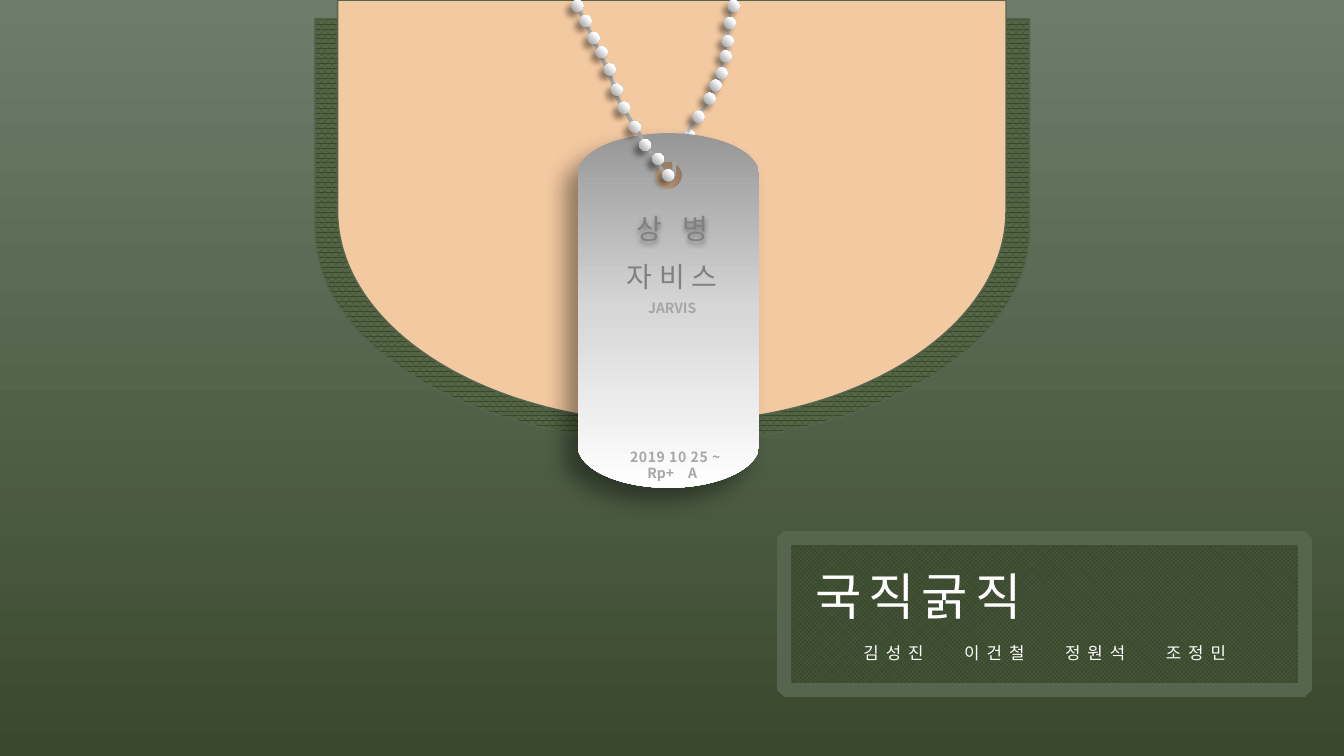
from typing import NamedTuple

from lxml import etree
from pptx import Presentation
from pptx.dml.color import RGBColor
from pptx.enum.dml import MSO_PATTERN
from pptx.enum.shapes import MSO_SHAPE
from pptx.enum.text import MSO_ANCHOR, MSO_AUTO_SIZE, PP_ALIGN
from pptx.oxml.ns import qn
from pptx.util import Pt

OVAL, DELAY, RECT = MSO_SHAPE.OVAL, MSO_SHAPE.FLOWCHART_DELAY, MSO_SHAPE.RECTANGLE
CENTER, JUSTIFY = PP_ALIGN.CENTER, PP_ALIGN.JUSTIFY
PCT_70, TRELLIS = MSO_PATTERN.PERCENT_70, MSO_PATTERN.TRELLIS
MIDDLE, FIT = MSO_ANCHOR.MIDDLE, MSO_AUTO_SIZE.SHAPE_TO_FIT_TEXT
FONT = "Noto Sans CJK KR"
COLORS = {
    "sage": "6C7D6A", "forest": "3A492D", "moss": "546646", "border": "55654E",
    "skin": "F3C9A1", "steel": "979797", "silver": "D7D7D7", "white": "FFFFFF",
    "black": "000000", "chain_front": "A6A6A6", "chain_back": "BFBFBF",
    "engraving": "808080", "small_print": "A6A6A6",
}
BEAD_SIZE = 8.5

Point = tuple[float, float]
Segment = list[Point]
Stops = list[tuple[int, str]]


class Shadow(NamedTuple):
    blur: float
    distance: float
    angle: int = 135
    opacity: int = 40


class Contour(NamedTuple):
    """A start point, then segments: one point is a line, three are a curve."""
    start: Point
    segments: list[Segment]


class Chain(NamedTuple):
    color: str
    width: float
    curve: list[Point]
    beads: list[Point]


class Engraving(NamedTuple):
    text: str
    left: float
    top: float
    height: float
    size: float
    color: str
    bold: bool = False
    spacing: float = 0
    shadow: Shadow | None = None


BEAD_STOPS: Stops = [(3, "steel"), (75, "white")]
BEAD_SHADOW = Shadow(4, 5)
REAR_BEAD = (488.2, 92.9)
CHAINS = [
    Chain("chain_front", 2.75,
          [(413.3, 6.5), (421.9, 23.8), (430.6, 41.8), (434.9, 52.6),
           (439.9, 62.6), (436.3, 60.5), (440.6, 69.1),
           (445, 77.8), (455.8, 94.3), (462.2, 104.4),
           (467.3, 113.8), (475.2, 125.3), (478.1, 127.4),
           (481.7, 128.9), (481.7, 121.7), (481.7, 115.2)],
          [(408.2, 0), (414, 10.8), (419.8, 23), (425.5, 33.1), (431.3, 45.4),
           (436.3, 59.8), (441.4, 72.7), (449.3, 86.4), (456.5, 99.4),
           (465.8, 109.4), (473, 121)]),
    Chain("chain_back", 2.25,
          [(491, 94.3), (496.8, 85.7), (502.6, 77.8), (506.2, 72),
           (509, 65.5), (510.5, 61.9), (511.9, 57.6),
           (514.1, 54), (514.1, 51.8), (515.5, 46.8),
           (517, 42.5), (517, 38.2), (519.1, 31),
           (520.6, 23.8), (521.3, 14.4), (522, 4.3)],
          [(519.8, 0), (517, 12.2), (515.5, 25.2), (514.1, 36), (511.2, 48.2),
           (506.9, 56.9), (502.6, 66.2), (494.6, 79.2)]),
]
ENGRAVINGS = [
    Engraving("자비스", 433.2, 182, 31, 20, "engraving", spacing=5),
    Engraving("상 병", 433.2, 147.6, 31, 20, "engraving", spacing=5,
              shadow=Shadow(4, 2, 90)),
    Engraving("2019 10 25 ~", 435.6, 316.8, 18.7, 10, "small_print", True, 0.45),
    Engraving("Rp+　A", 433.4, 328.3, 18.7, 10, "small_print", True),
    Engraving("JARVIS", 433.4, 210.2, 18.7, 10, "small_print", True),
]


def rgb(name: str) -> RGBColor:
    return RGBColor.from_string(COLORS[name])


def add_color(parent, name: str):
    return etree.SubElement(parent, qn("a:srgbClr"), val=COLORS[name])


def set_gradient(fill, props, stops: Stops, angle: int) -> None:
    """Give the properties element a linear gradient, angle clockwise."""
    fill.solid()
    grad = etree.Element(qn("a:gradFill"), rotWithShape="1")
    stop_list = etree.SubElement(grad, qn("a:gsLst"))
    for position, name in stops:
        add_color(etree.SubElement(stop_list, qn("a:gs"), pos=str(position * 1000)), name)
    etree.SubElement(grad, qn("a:lin"), ang=str(angle * 60000), scaled="0")
    props.replace(props.find(qn("a:solidFill")), grad)


def set_pattern(fill, pattern, fore: str, back: str) -> None:
    fill.patterned()
    fill.pattern = pattern
    fill.fore_color.rgb, fill.back_color.rgb = rgb(fore), rgb(back)


def set_line(sp, color: str, width: float) -> None:
    sp.line.color.rgb = rgb(color)
    sp.line.width = Pt(width)


def set_shadow(sp, shadow: Shadow) -> None:
    sp.shadow.inherit = False
    effects = sp.element.spPr.find(qn("a:effectLst"))
    outer = etree.SubElement(
        effects, qn("a:outerShdw"), blurRad=str(Pt(shadow.blur)),
        dist=str(Pt(shadow.distance)), dir=str(shadow.angle * 60000),
        algn="ctr", rotWithShape="0")
    etree.SubElement(add_color(outer, "black"), qn("a:alpha"), val=str(shadow.opacity * 1000))


def add_preset(shapes, kind, left: float, top: float, width: float, height: float):
    sp = shapes.add_shape(kind, Pt(left), Pt(top), Pt(width), Pt(height))
    sp.shadow.inherit = False
    return sp


def set_font(p, size: float, color: str, bold: bool = False, spacing: float = 0) -> None:
    f = p.font
    f.name, f.size, f.bold = FONT, Pt(size), bold
    f.color.rgb = rgb(color)
    props = p._p.pPr.find(qn("a:defRPr"))
    props.set("spc", str(round(spacing * 100)))
    etree.SubElement(props, qn("a:ea"), typeface=FONT)


def half_oval(cx: float, cy: float, rx: float, ry: float) -> list[Segment]:
    """Two curves from (cx - rx, cy) over the top; negative radii go below."""
    kx, ky = 0.55 * rx, 0.55 * ry
    return [[(cx - rx, cy - ky), (cx - kx, cy - ry), (cx, cy - ry)],
            [(cx + kx, cy - ry), (cx + rx, cy - ky), (cx + rx, cy)]]


def add_outline(shapes, contours: list[Contour], closed: bool):
    def scale(point: Point) -> tuple[int, int]:
        return Pt(point[0]), Pt(point[1])

    builder = shapes.build_freeform(*scale(contours[0].start))
    for i, contour in enumerate(contours):
        if i:
            builder.move_to(*scale(contour.start))
        points = [scale(point) for segment in contour.segments for point in segment]
        builder.add_line_segments(points, close=closed)
    sp = builder.convert_to_shape()
    sp.shadow.inherit = False
    steps = sp.element.spPr.iter(qn("a:lnTo"))
    lines = iter(list(steps))
    for segment in (seg for contour in contours for seg in contour.segments):
        parts = [next(lines) for _ in segment]
        if len(parts) == 3:
            curve = etree.Element(qn("a:cubicBezTo"))
            parts[0].addprevious(curve)
            for part in parts:
                curve.append(part[0])
                part.getparent().remove(part)
    return sp


def add_collar(shapes) -> None:
    shirt = add_preset(shapes, DELAY, 329, -90.7, 302.4, 510.5)
    set_pattern(shirt.fill, PCT_70, "forest", "moss")
    neck = add_preset(shapes, DELAY, 329, -87.8, 301.7, 477.4)
    neck.fill.solid()
    neck.fill.fore_color.rgb = rgb("skin")
    for sp in (shirt, neck):
        sp.rotation = 90
        set_line(sp, "border", 1)


def add_bead(shapes, position: Point) -> None:
    sp = add_preset(shapes, OVAL, *position, BEAD_SIZE, BEAD_SIZE)
    set_gradient(sp.fill, sp.element.spPr, BEAD_STOPS, 315)
    sp.line.fill.background()
    set_shadow(sp, BEAD_SHADOW)


def add_tag(shapes) -> None:
    hole = Contour((487.4, 125.3), half_oval(477.4, 125.3, -10, 10)
                   + half_oval(477.4, 125.3, 10, -10))
    plate = Contour((412.6, 124.6), half_oval(477.4, 124.6, 64.8, 29.5)
                    + [[(542.2, 318.2)]] + half_oval(477.4, 318.2, -64.8, -30.2))
    sp = add_outline(shapes, [hole, plate], True)
    set_gradient(sp.fill, sp.element.spPr, [(0, "steel"), (50, "silver"), (100, "white")], 90)
    sp.line.fill.background()
    set_shadow(sp, Shadow(16, 13))


def add_chain(shapes, chain: Chain) -> None:
    start, *rest = chain.curve
    segments = [rest[i:i + 3] for i in range(0, len(rest), 3)]
    sp = add_outline(shapes, [Contour(start, segments)], False)
    sp.fill.background()
    set_line(sp, chain.color, chain.width)


def add_engraving(shapes, e: Engraving) -> None:
    sp = shapes.add_textbox(Pt(e.left), Pt(e.top), Pt(93.6), Pt(e.height))
    tf = sp.text_frame
    tf.word_wrap, tf.auto_size = True, FIT
    p = tf.paragraphs[0]
    p.text, p.alignment = e.text, CENTER
    set_font(p, e.size, e.color, e.bold, e.spacing)
    if e.shadow:
        set_shadow(sp, e.shadow)


def add_title_plate(shapes) -> None:
    sp = add_preset(shapes, RECT, 560.2, 384.5, 372.2, 108.3)
    set_pattern(sp.fill, TRELLIS, "moss", "forest")
    set_line(sp, "border", 10)
    etree.SubElement(sp.line._ln, qn("a:bevel"))
    tf = sp.text_frame
    tf.word_wrap, tf.vertical_anchor = True, MIDDLE
    title, names = tf.paragraphs[0], tf.add_paragraph()
    title.text, title.alignment = "국직굵직", JUSTIFY
    title._p.pPr.set("indent", str(Pt(15.2)))
    set_font(title, 36, "white", spacing=5)
    names.text, names.alignment = "김성진\t이건철\t정원석\t조정민", CENTER
    names.space_before = Pt(12)
    set_font(names, 12, "white", spacing=5)


def main() -> None:
    prs = Presentation()
    prs.slide_width, prs.slide_height = Pt(960), Pt(540)
    s = prs.slides.add_slide(prs.slide_layouts[6])
    fill = s.background.fill
    fill.solid()
    set_gradient(fill, s.element.cSld.bg.bgPr, [(0, "sage"), (100, "forest")], 90)
    add_collar(s.shapes)
    pendant = s.shapes.add_group_shape().shapes
    add_bead(pendant, REAR_BEAD)
    add_tag(pendant)
    for chain in CHAINS:
        add_chain(pendant, chain)
    for position in (bead for chain in CHAINS for bead in chain.beads):
        add_bead(pendant, position)
    for engraving in ENGRAVINGS:
        add_engraving(pendant, engraving)
    add_title_plate(s.shapes)
    prs.save("out.pptx")


if __name__ == "__main__":
    main()
